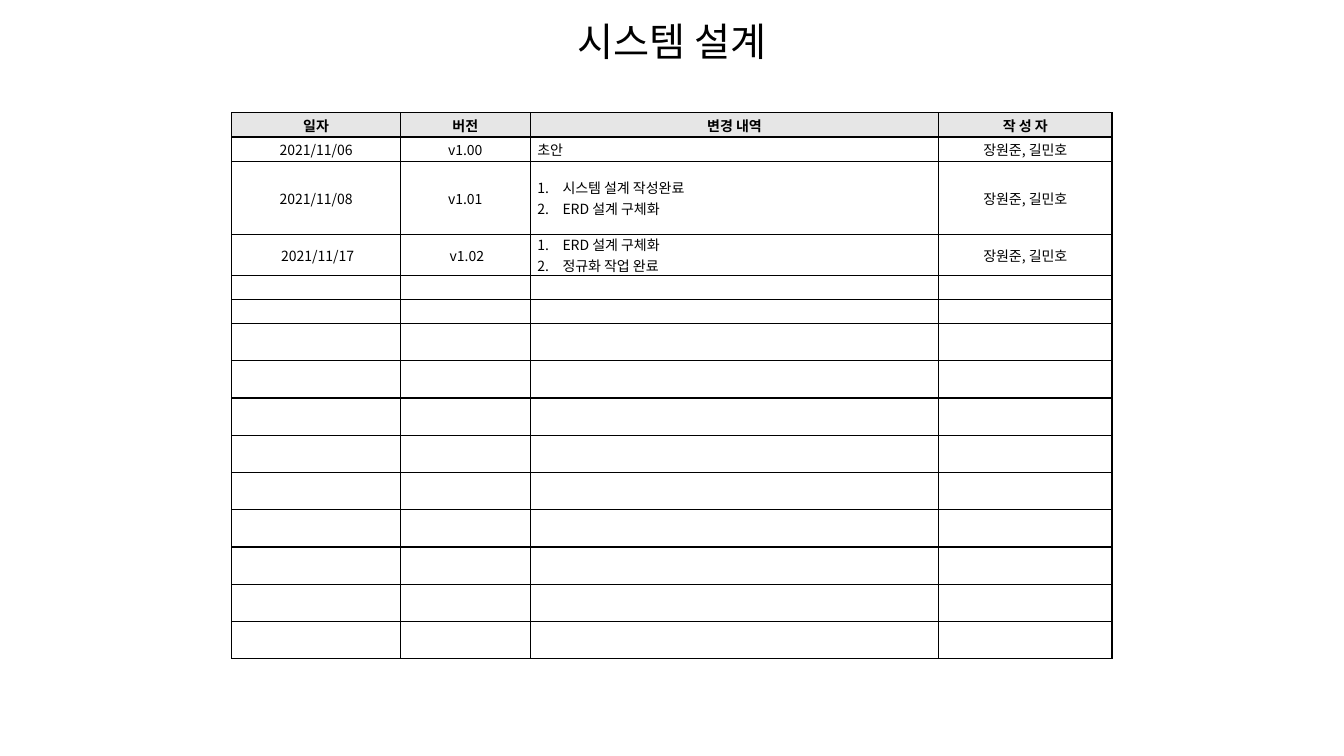
from lxml.etree import SubElement
from pptx import Presentation
from pptx.dml.color import RGBColor
from pptx.enum.text import MSO_ANCHOR, PP_ALIGN
from pptx.oxml.ns import qn
from pptx.util import Inches, Pt

FONT = "Noto Sans CJK KR"
COLORS = {"text": "000000", "line": "000000", "head": "E6E6E6"}
LEFT, WIDTH = 2.3, 8.73
COLS = [1.67, 1.29, 4.05, 1.72]
ROWS = [0.24, 0.24, 0.73, 0.4, 0.24, 0.24] + [0.37] * 9
TEAM = "장원준, 길민호"
HEAD = ["일자", "버전", "변경 내역", "작 성 자"]
LOG = [
    ["2021/11/06", "v1.00", "초안", TEAM],
    ["2021/11/08", "v1.01", ["시스템 설계 작성완료", "ERD 설계 구체화"], TEAM],
    [" 2021/11/17", " v1.02", ["ERD 설계 구체화", "정규화 작업 완료"], TEAM],
]


def add_run(para, text, size, bold=False):
    run = para.add_run()
    run.text = text
    font = run.font
    font.name, font.size, font.bold = FONT, Pt(size), bold
    font.color.rgb = RGBColor.from_string(COLORS["text"])
    SubElement(run._r.get_or_add_rPr(), qn("a:ea"), typeface=FONT)


def add_title(slide, text):
    box = slide.shapes.add_textbox(Inches(LEFT), Inches(0.18), Inches(WIDTH), Inches(0.67))
    frame = box.text_frame
    frame.word_wrap = True
    para = frame.paragraphs[0]
    para.alignment = PP_ALIGN.CENTER
    para.line_spacing = 0.9
    para.space_before = Pt(10)
    add_run(para, text, 28)


def add_border(cell):
    props = cell._tc.get_or_add_tcPr()
    for side in ("a:lnL", "a:lnR", "a:lnT", "a:lnB"):
        line = SubElement(props, qn(side), w=str(Pt(1)))
        fill = SubElement(line, qn("a:solidFill"))
        SubElement(fill, qn("a:srgbClr"), val=COLORS["line"])


def add_number(para):
    props = para._p.get_or_add_pPr()
    props.set("marL", str(Inches(0.25)))
    props.set("indent", str(-Inches(0.25)))
    SubElement(props, qn("a:buFont"), typeface="+mj-lt")
    SubElement(props, qn("a:buAutoNum"), type="arabicPeriod")


def fill_cell(cell, text, align, head):
    """Style one cell; a list of texts becomes numbered lines."""
    cell.vertical_anchor = MSO_ANCHOR.MIDDLE
    cell.margin_left = cell.margin_right = Inches(0.07)
    cell.margin_top = cell.margin_bottom = 0
    add_border(cell)
    if head:
        cell.fill.solid()
        cell.fill.fore_color.rgb = RGBColor.from_string(COLORS["head"])
    else:
        cell.fill.background()
    frame = cell.text_frame
    if not text:
        SubElement(frame.paragraphs[0]._p, qn("a:endParaRPr"), sz="1000")
        return
    listed = isinstance(text, list)
    for i, line in enumerate(text if listed else [text]):
        para = frame.add_paragraph() if i else frame.paragraphs[0]
        para.alignment = align
        if listed:
            add_number(para)
        add_run(para, line, 10, head)


def add_log(slide):
    shape = slide.shapes.add_table(len(ROWS), len(COLS), Inches(LEFT), Inches(1.12),
                                   Inches(WIDTH), Inches(sum(ROWS)))
    table = shape.table
    table.first_row = table.horz_banding = False
    for col, width in zip(table.columns, COLS):
        col.width = Inches(width)
    data = [HEAD] + LOG
    data += [[""] * len(COLS)] * (len(ROWS) - len(data))
    for r, texts in enumerate(data):
        table.rows[r].height = Inches(ROWS[r])
        for c, text in enumerate(texts):
            align = PP_ALIGN.JUSTIFY if r and c == 2 else PP_ALIGN.CENTER
            fill_cell(table.cell(r, c), text, align, r == 0)


def main():
    deck = Presentation()
    deck.slide_width, deck.slide_height = Inches(13.33), Inches(7.5)
    slide = deck.slides.add_slide(deck.slide_layouts[6])
    add_title(slide, "시스템 설계")
    add_log(slide)
    deck.save("out.pptx")


if __name__ == "__main__":
    main()
